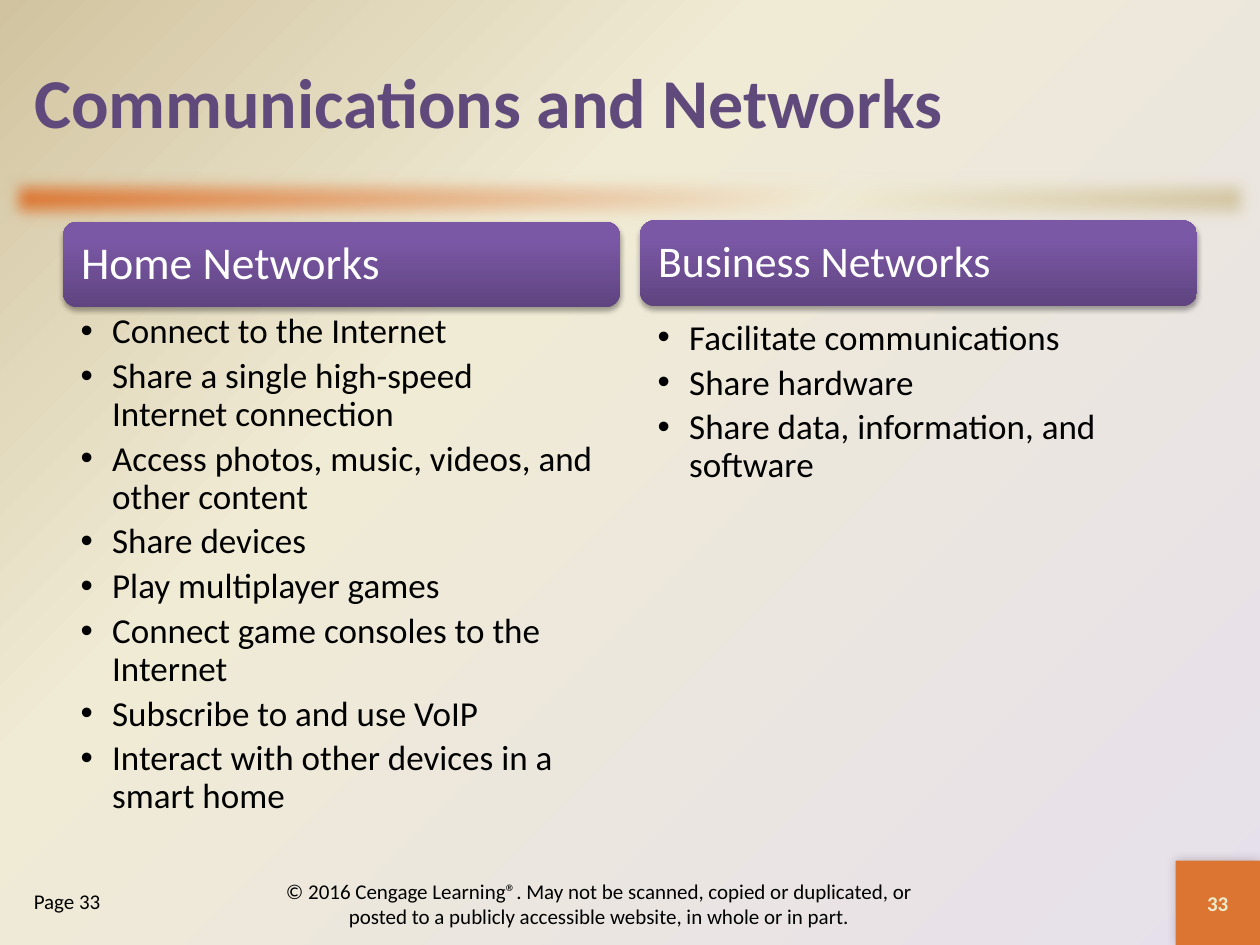
from lxml import etree
from pptx import Presentation
from pptx.dml.color import RGBColor
from pptx.enum.shapes import MSO_SHAPE
from pptx.enum.text import MSO_ANCHOR, PP_ALIGN
from pptx.oxml.ns import qn
from pptx.util import Inches, Pt

RECTANGLE, ROUNDED = MSO_SHAPE.RECTANGLE, MSO_SHAPE.ROUNDED_RECTANGLE
TOP, MIDDLE = MSO_ANCHOR.TOP, MSO_ANCHOR.MIDDLE
LEFT, CENTER = PP_ALIGN.LEFT, PP_ALIGN.CENTER

FONT = "Calibri"
BLACK = RGBColor(0x00, 0x00, 0x00)
WHITE = RGBColor(0xFF, 0xFF, 0xFF)
ORANGE = RGBColor(0xDB, 0x75, 0x31)
CREAM = RGBColor(0xF0, 0xEB, 0xD5)
TAN = RGBColor(0xD1, 0xC3, 0x9F)
LAVENDER = RGBColor(0xE6, 0xE0, 0xEC)
PALE_YELLOW = RGBColor(0xEE, 0xEB, 0xCA)
TITLE_PURPLE = RGBColor(0x60, 0x4A, 0x7B)
DARK_PURPLE = RGBColor(0x5F, 0x44, 0x80)
MID_PURPLE = RGBColor(0x7B, 0x58, 0xA6)
LIGHT_PURPLE = RGBColor(0x7C, 0x57, 0xA8)

HOME_ITEMS = [
    "Connect to the Internet",
    "Share a single high-speed Internet connection",
    "Access photos, music, videos, and other content",
    "Share devices",
    "Play multiplayer games",
    "Connect game consoles to the Internet",
    "Subscribe to and use VoIP",
    "Interact with other devices in a smart home",
]
BUSINESS_ITEMS = [
    "Facilitate communications",
    "Share hardware",
    "Share data, information, and software",
]


def add_element(parent, tag, **attributes):
    values = {name: str(value) for name, value in attributes.items()}
    return etree.SubElement(parent, qn(tag), values)


def add_color(parent, color, alpha=100):
    element = add_element(parent, "a:srgbClr", val=color)
    if alpha < 100:
        add_element(element, "a:alpha", val=alpha * 1000)


def set_gradient(properties, stops, angle=None):
    solid = properties.find(qn("a:solidFill"))
    gradient = etree.Element(qn("a:gradFill"), rotWithShape="1")
    stop_list = add_element(gradient, "a:gsLst")
    for position, color in stops:
        add_color(add_element(stop_list, "a:gs", pos=position * 1000), color)
    if angle is None:
        circle = add_element(gradient, "a:path", path="circle")
        add_element(circle, "a:fillToRect", l=100000, t=100000)
    else:
        add_element(gradient, "a:lin", ang=angle * 60000, scaled=0)
    properties.replace(solid, gradient)


def add_shadow(shape, alpha, blur, distance, direction):
    effects = shape._element.spPr.find(qn("a:effectLst"))
    shadow = add_element(effects, "a:outerShdw", blurRad=Pt(blur), dist=Pt(distance),
                         dir=direction * 60000, algn="ctr", rotWithShape=0)
    add_color(shadow, BLACK, alpha)


def add_block(page, kind, box, color):
    shape = page.shapes.add_shape(kind, *map(Inches, box))
    shape.shadow.inherit = False
    shape.fill.solid()
    shape.fill.fore_color.rgb = color
    shape.line.fill.background()
    return shape


def add_bullet(para):
    properties = para._p.get_or_add_pPr()
    properties.set("marL", str(Inches(0.25)))
    properties.set("indent", str(-Inches(0.25)))
    add_element(properties, "a:buFont", typeface="Arial")
    add_element(properties, "a:buChar", char="•")


def write_text(shape, lines, size, color=BLACK, bold=False, align=LEFT, anchor=TOP,
               insets=(0.1, 0.05, 0.1, 0.05), spacing=None, after=None, bullets=False):
    frame = shape.text_frame
    frame.word_wrap = True
    frame.vertical_anchor = anchor
    (frame.margin_left, frame.margin_top,
     frame.margin_right, frame.margin_bottom) = map(Inches, insets)
    frame.text = "\n".join(lines)
    for para in frame.paragraphs:
        if bullets:
            add_bullet(para)
        para.alignment = align
        para.line_spacing = spacing
        para.space_after = after
        for span in para.runs:
            span.font.name = FONT
            span.font.size = Pt(size)
            span.font.bold = bold
            span.font.color.rgb = color


def add_text(page, box, lines, size, **formats):
    write_text(page.shapes.add_textbox(*map(Inches, box)), lines, size, **formats)


def add_background(page):
    page.background.fill.solid()
    properties = page._element.find(".//" + qn("p:bgPr"))
    set_gradient(properties, [(0, LAVENDER), (65, CREAM), (100, TAN)])


def add_divider(page, box):
    bar = add_block(page, RECTANGLE, box, ORANGE)
    properties = bar._element.spPr
    set_gradient(properties, [(0, ORANGE), (65, CREAM), (100, TAN)], angle=45)
    add_element(properties.find(qn("a:effectLst")), "a:softEdge", rad=Pt(10))


def add_title(page, box, text):
    title = page.shapes.title
    title.left, title.top, title.width, title.height = map(Inches, box)
    write_text(title, [text], 40, color=TITLE_PURPLE, bold=True, anchor=MIDDLE)


def add_network_column(page, box, heading, heading_size, items, list_top):
    left, top, width, height = box
    header = add_block(page, ROUNDED, (left, top, width, 0.68), DARK_PURPLE)
    set_gradient(header._element.spPr,
                 [(0, DARK_PURPLE), (80, MID_PURPLE), (100, LIGHT_PURPLE)], angle=270)
    add_shadow(header, 35, 3.1, 1.8, 90)
    write_text(header, [heading], heading_size, color=WHITE, anchor=MIDDLE,
               insets=(0.11, 0.11, 0.11, 0.11), spacing=0.9)
    add_text(page, (left, list_top, width, top + height - list_top), items, 20,
             insets=(0.14, 0.04, 0.2, 0.04), spacing=0.9, after=Pt(4), bullets=True)


def add_footer(page, box, number):
    left, top, width, height = box
    side = height
    badge = add_block(page, RECTANGLE, (left + width - side, top, side, side), ORANGE)
    add_shadow(badge, 20, 6, 0, 225)
    write_text(badge, [number], 12, color=PALE_YELLOW, bold=True, align=CENTER, anchor=MIDDLE)
    add_text(page, (left + 2.17, top + 0.14, 5.17, 0.4),
             ["© 2016 Cengage Learning®. May not be scanned, copied or duplicated, "
              "or posted to a publicly accessible website, in whole or in part."],
             12, align=CENTER, anchor=MIDDLE)
    add_text(page, (left + 0.17, top + 0.17, 1.83, 0.33), [f"Page {number}"], 12)


def main():
    deck = Presentation()
    deck.slide_width, deck.slide_height = Inches(10), Inches(7.5)
    page = deck.slides.add_slide(deck.slide_layouts[5])
    add_background(page)
    add_divider(page, (0, 1.33, 10, 0.5))
    add_title(page, (0.17, 0.17, 9.67, 1.25), "Communications and Networks")
    add_network_column(page, (0.5, 1.76, 4.42, 4.93), "Home Networks", 26, HOME_ITEMS, 2.45)
    add_network_column(page, (5.08, 1.75, 4.42, 4.88), "Business Networks", 25,
                       BUSINESS_ITEMS, 2.5)
    add_footer(page, (0, 6.83, 10, 0.67), "33")
    deck.save("out.pptx")


if __name__ == "__main__":
    main()
